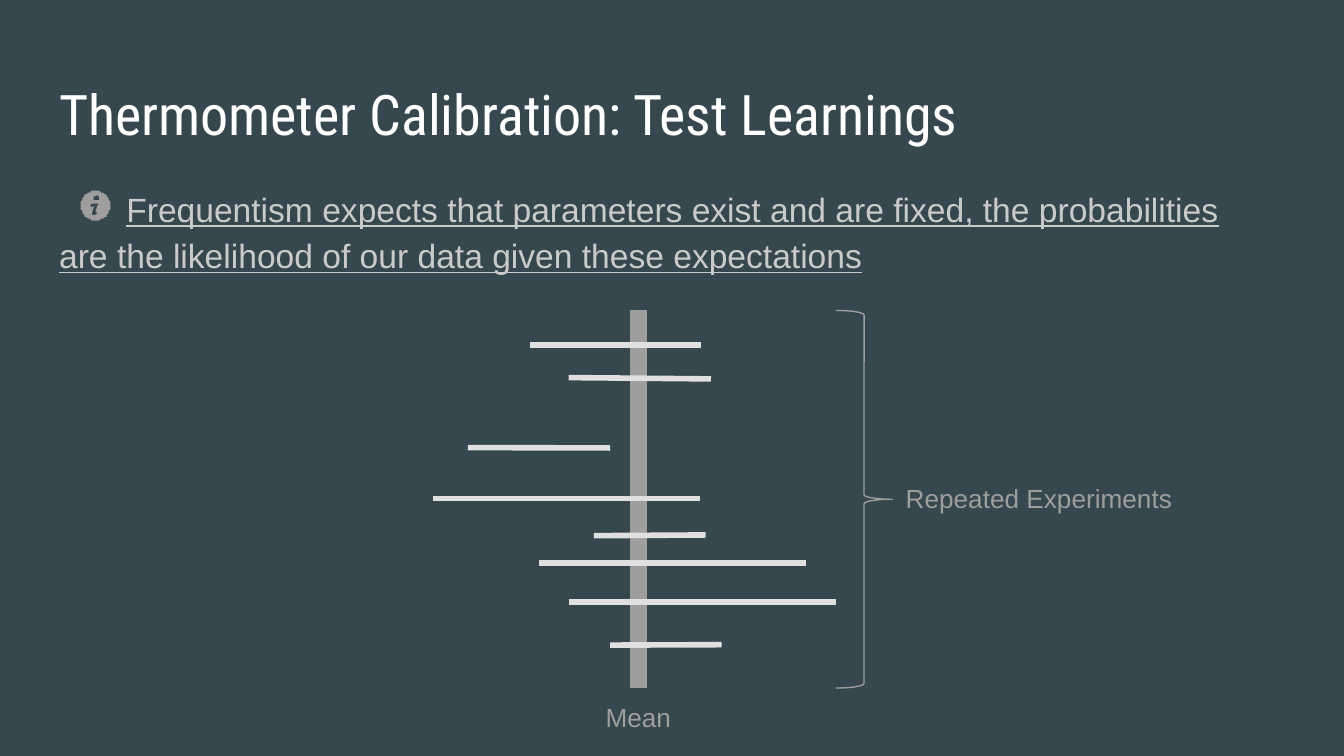
from math import cos, pi, sin

from lxml import etree
from pptx import Presentation
from pptx.dml.color import RGBColor
from pptx.enum.shapes import MSO_CONNECTOR, MSO_SHAPE
from pptx.enum.text import MSO_ANCHOR, MSO_AUTO_SIZE, PP_ALIGN
from pptx.oxml.ns import qn
from pptx.util import Pt

STRAIGHT = MSO_CONNECTOR.STRAIGHT
RIGHT_BRACE = MSO_SHAPE.RIGHT_BRACE
TOP = MSO_ANCHOR.TOP
NO_AUTOFIT = MSO_AUTO_SIZE.NONE
LEFT = PP_ALIGN.LEFT
CENTER = PP_ALIGN.CENTER

SLATE = RGBColor(0x37, 0x47, 0x4F)
WHITE = RGBColor(0xFF, 0xFF, 0xFF)
SILVER = RGBColor(0xCA, 0xCA, 0xCA)
GRAY = RGBColor(0x9E, 0x9E, 0x9E)
PALE = RGBColor(0xE0, 0xE0, 0xE0)

MEAN_X = 342
CHART_TOP = 166.3
CHART_BOTTOM = 368.6
INTERVALS = [
    (283.7, 375.5, 185, 185),
    (304.6, 380.9, 202.3, 203),
    (250.6, 326.9, 239.8, 240),
    (318.2, 378, 287, 286.6),
    (326.9, 386.6, 345.6, 345.4),
    (288.7, 432, 301.7, 301.7),
    (304.6, 447.8, 322.6, 322.6),
    (231.8, 375.1, 267, 267),
]


def place(sp, left, top, width, height):
    sp.left, sp.top = Pt(left), Pt(top)
    sp.width, sp.height = Pt(width), Pt(height)


def write(sp, text, font, size, color, align=LEFT):
    tf = sp.text_frame
    tf.word_wrap = True
    tf.auto_size = NO_AUTOFIT
    tf.vertical_anchor = TOP
    tf.margin_left = tf.margin_right = Pt(7.2)
    tf.margin_top = tf.margin_bottom = Pt(7.2)
    p = tf.paragraphs[0]
    p.text = text
    p.alignment = align
    p.space_before = Pt(0)
    p.font.name = font
    p.font.size = Pt(size)
    p.font.color.rgb = color
    return p


def add_label(slide, text, box, align=LEFT):
    sp = slide.shapes.add_textbox(*map(Pt, box))
    write(sp, text, "Arial", 14, GRAY, align)


def add_line(slide, x1, y1, x2, y2, color, width):
    line = slide.shapes.add_connector(STRAIGHT, Pt(x1), Pt(y1), Pt(x2), Pt(y2))
    line.line.color.rgb = color
    line.line.width = Pt(width)
    etree.SubElement(line._element.spPr, qn("a:effectLst"))


def add_brace(slide, left, top, width, height):
    sp = slide.shapes.add_shape(RIGHT_BRACE, Pt(left), Pt(top), Pt(width), Pt(height))
    sp.adjustments[0] = 0.08
    sp.adjustments[1] = 0.5
    sp.shadow.inherit = False
    sp.fill.background()
    sp.line.color.rgb = GRAY
    sp.line.width = Pt(0.75)


def circle(cx, cy, radius, steps=48):
    angles = [2 * pi * i / steps for i in range(steps)]
    return [(cx + radius * cos(a), cy + radius * sin(a)) for a in angles]


def add_info_icon(slide, cx, cy):
    stem = [(-2.7, 0.2), (-1.5, -0.7), (0.9, -1.3), (1.5, -0.8), (1.3, 0.3),
            (0.5, 3), (0.8, 3.5), (1.6, 3), (1.9, 3.4), (0.4, 4.6),
            (-0.9, 5), (-1.8, 4.7), (-1.7, 3.5), (-0.7, 0.6), (-1.1, 0),
            (-2.4, 0.6)]
    disc, *holes = [circle(0, 0, 8), circle(0.7, -4.1, 1.4, 24), stem]
    builder = slide.shapes.build_freeform(*disc[0], scale=Pt(1))
    builder.add_line_segments(disc[1:], close=True)
    for hole in holes:
        builder.move_to(*hole[0])
        builder.add_line_segments(hole[1:], close=True)
    sp = builder.convert_to_shape(Pt(cx), Pt(cy))
    sp.shadow.inherit = False
    sp.fill.solid()
    sp.fill.fore_color.rgb = GRAY
    sp.line.fill.background()


def add_title(slide, text):
    sp = slide.shapes.title
    place(sp, 24.5, 35.3, 671, 45.4)
    write(sp, text, "Roboto Condensed", 30, WHITE)


def add_body(slide, text):
    sp = slide.placeholders[1]
    place(sp, 24.5, 90.7, 646.6, 144)
    p = write(sp, text, "Arial", 18, SILVER)
    p.font.underline = True
    p.line_spacing = 1.15
    pPr = p._p.get_or_add_pPr()
    pPr.set("marL", "0")
    pPr.set("indent", str(Pt(36)))
    pPr.insert_element_before(etree.Element(qn("a:buNone")), "a:tabLst", "a:defRPr", "a:extLst")


def main():
    prs = Presentation()
    prs.slide_width, prs.slide_height = Pt(720), Pt(405)
    slide = prs.slides.add_slide(prs.slide_layouts[1])
    slide.background.fill.solid()
    slide.background.fill.fore_color.rgb = SLATE

    add_title(slide, "Thermometer Calibration: Test Learnings")
    add_body(slide, "Frequentism expects that parameters exist and are fixed, "
                    "the probabilities are the likelihood of our data given "
                    "these expectations")
    add_info_icon(slide, 51.2, 110.2)

    add_line(slide, MEAN_X, CHART_TOP, MEAN_X, CHART_BOTTOM, GRAY, 9)
    add_label(slide, "Mean", (308.9, CHART_BOTTOM, 66.2, 20.2), CENTER)
    for x1, x2, y1, y2 in INTERVALS:
        add_line(slide, x1, y1, x2, y2, PALE, 3)
    add_label(slide, "Repeated Experiments", (478.1, 251.3, 193, 38.9))
    add_brace(slide, 447.8, CHART_TOP, 30.2, CHART_BOTTOM - CHART_TOP)

    prs.save("out.pptx")


if __name__ == "__main__":
    main()
